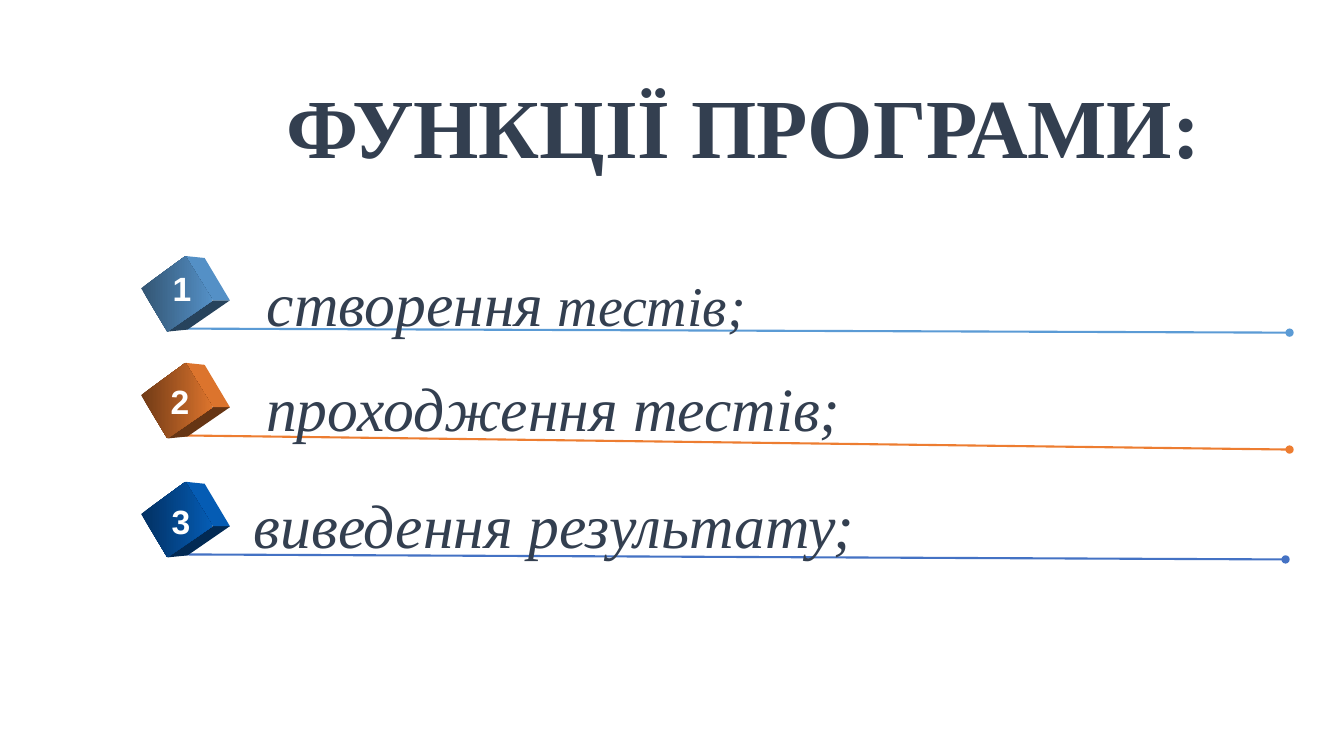
from dataclasses import dataclass

from lxml import etree
from pptx import Presentation
from pptx.dml.color import RGBColor
from pptx.enum.shapes import MSO_CONNECTOR
from pptx.enum.text import MSO_ANCHOR, MSO_AUTO_SIZE, PP_ALIGN
from pptx.oxml.ns import qn
from pptx.util import Inches, Pt

NAVY = RGBColor(0x33, 0x3F, 0x50)
WHITE = RGBColor(0xFF, 0xFF, 0xFF)
SKY = RGBColor(0x5B, 0x9B, 0xD5)
SKY_SIDE = RGBColor(0x54, 0x90, 0xC6)
SKY_SHADE = RGBColor(0x33, 0x55, 0x73)
SKY_BASE = RGBColor(0x27, 0x43, 0x5C)
ORANGE = RGBColor(0xED, 0x7D, 0x31)
ORANGE_SIDE = RGBColor(0xDC, 0x74, 0x2D)
ORANGE_SHADE = RGBColor(0x70, 0x3A, 0x16)
ORANGE_BASE = RGBColor(0x66, 0x35, 0x14)
BLUE = RGBColor(0x44, 0x72, 0xC4)
BLUE_SIDE = RGBColor(0x05, 0x5C, 0xB4)
BLUE_SHADE = RGBColor(0x02, 0x30, 0x62)
BLUE_BASE = RGBColor(0x02, 0x2A, 0x54)

SERIF = "Times New Roman"
RULE_LENGTH = 10.98
# Cube corners, in inches from the top left of the cube
LEFT, TOP, CENTRE, BOTTOM = (0, 0.32), (0.44, 0), (0.71, 0.44), (0.26, 0.75)
BACK_TOP, BACK_RIGHT, BACK_BOTTOM = (0.63, 0.02), (0.88, 0.44), (0.46, 0.73)


@dataclass
class Feature:
    """One numbered row; offsets are measured from the row's top left."""
    words: list  # (text, size) pairs
    top: float
    label_at: tuple
    label_width: float
    digit_at: tuple
    rule_x: float
    rule_drop: float
    rule: RGBColor
    side: RGBColor
    shade: RGBColor
    base: RGBColor


FEATURES = [
    Feature([("створення", 44), (" тестів;", 40)], 2.54, (1.15, 0.04), 5,
            (0.21, 0.07), 0.41, 0.04, SKY, SKY_SIDE, SKY_SHADE, SKY_BASE),
    Feature([("проходження тестів;", 44)], 3.6, (1.14, 0.02), 5.95,
            (0.19, 0.13), 0.41, 0.14, ORANGE, ORANGE_SIDE, ORANGE_SHADE, ORANGE_BASE),
    Feature([("виведення результату;", 44)], 4.78, (1.02, 0), 6.23,
            (0.2, 0.14), 0.37, 0.05, BLUE, BLUE_SIDE, BLUE_SHADE, BLUE_BASE),
]


def add_title(slide, left, top, width, height):
    title = slide.shapes.title
    title.left, title.top = Inches(left), Inches(top)
    title.width, title.height = Inches(width), Inches(height)
    frame = title.text_frame
    frame.text = "ФУНКЦІЇ ПРОГРАМИ:"
    frame.vertical_anchor = MSO_ANCHOR.BOTTOM
    frame.auto_size = MSO_AUTO_SIZE.NONE
    heading = frame.paragraphs[0]
    heading.alignment = PP_ALIGN.LEFT
    heading.line_spacing = 0.9
    heading.font.name, heading.font.size = SERIF, Pt(60)
    heading.font.bold = True
    heading.font.color.rgb = NAVY


def add_rule(slide, left, top, drop, color):
    rule = slide.shapes.add_connector(
        MSO_CONNECTOR.STRAIGHT, Inches(left), Inches(top),
        Inches(left + RULE_LENGTH), Inches(top + drop))
    rule.line.color.rgb = color
    rule.line.width = Pt(1.5)
    etree.SubElement(rule.line._get_or_add_ln(), qn("a:tailEnd"), type="oval")
    etree.SubElement(rule._element.spPr, qn("a:effectLst"))


def add_face(slide, left, top, corners):
    points = [(Inches(left + x), Inches(top + y)) for x, y in corners]
    builder = slide.shapes.build_freeform(*points[0])
    builder.add_line_segments(points[1:], close=True)
    face = builder.convert_to_shape()
    face.shadow.inherit = False
    face.line.fill.background()
    return face


def add_cube(slide, left, top, feature):
    base = add_face(slide, left, top, [BOTTOM, CENTRE, BACK_RIGHT, BACK_BOTTOM])
    base.fill.solid()
    base.fill.fore_color.rgb = feature.base
    side = add_face(slide, left, top, [TOP, BACK_TOP, BACK_RIGHT, CENTRE])
    side.fill.solid()
    side.fill.fore_color.rgb = feature.side
    front = add_face(slide, left, top, [LEFT, TOP, CENTRE, BOTTOM])
    front.fill.gradient()
    front.fill.gradient_angle = 0
    for stop, color in zip(front.fill.gradient_stops, (feature.shade, feature.side)):
        stop.color.rgb = color


def add_text(slide, left, top, width, height, words, wrap):
    """Add a one-line text box from (text, size) pairs and return its paragraph."""
    box = slide.shapes.add_textbox(
        Inches(left), Inches(top), Inches(width), Inches(height))
    box.text_frame.word_wrap = wrap
    box.text_frame.auto_size = MSO_AUTO_SIZE.SHAPE_TO_FIT_TEXT
    line = box.text_frame.paragraphs[0]
    for text, size in words:
        run = line.add_run()
        run.text = text
        run.font.size = Pt(size)
    return line


def add_feature(slide, left, number, feature):
    top = feature.top
    add_rule(slide, left + feature.rule_x, top + 0.72, feature.rule_drop, feature.rule)
    add_cube(slide, left, top, feature)

    dx, dy = feature.label_at
    label = add_text(slide, left + dx, top + dy, feature.label_width, 0.84,
                     feature.words, wrap=False)
    label.font.name, label.font.italic = SERIF, True
    label.font.color.rgb = NAVY

    dx, dy = feature.digit_at
    digit = add_text(slide, left + dx, top + dy, 0.39, 0.5,
                     [(str(number), 24)], wrap=True)
    digit.alignment = PP_ALIGN.CENTER
    digit.font.name, digit.font.bold = "Arial", True
    digit.font.color.rgb = WHITE


def main():
    deck = Presentation()
    deck.slide_width, deck.slide_height = Inches(13.33), Inches(7.5)
    slide = deck.slides.add_slide(deck.slide_layouts[5])
    add_title(slide, 2.74, 0.56, 11.5, 1.24)
    for number, feature in enumerate(FEATURES, start=1):
        add_feature(slide, 1.4, number, feature)
    deck.save("out.pptx")


if __name__ == "__main__":
    main()
